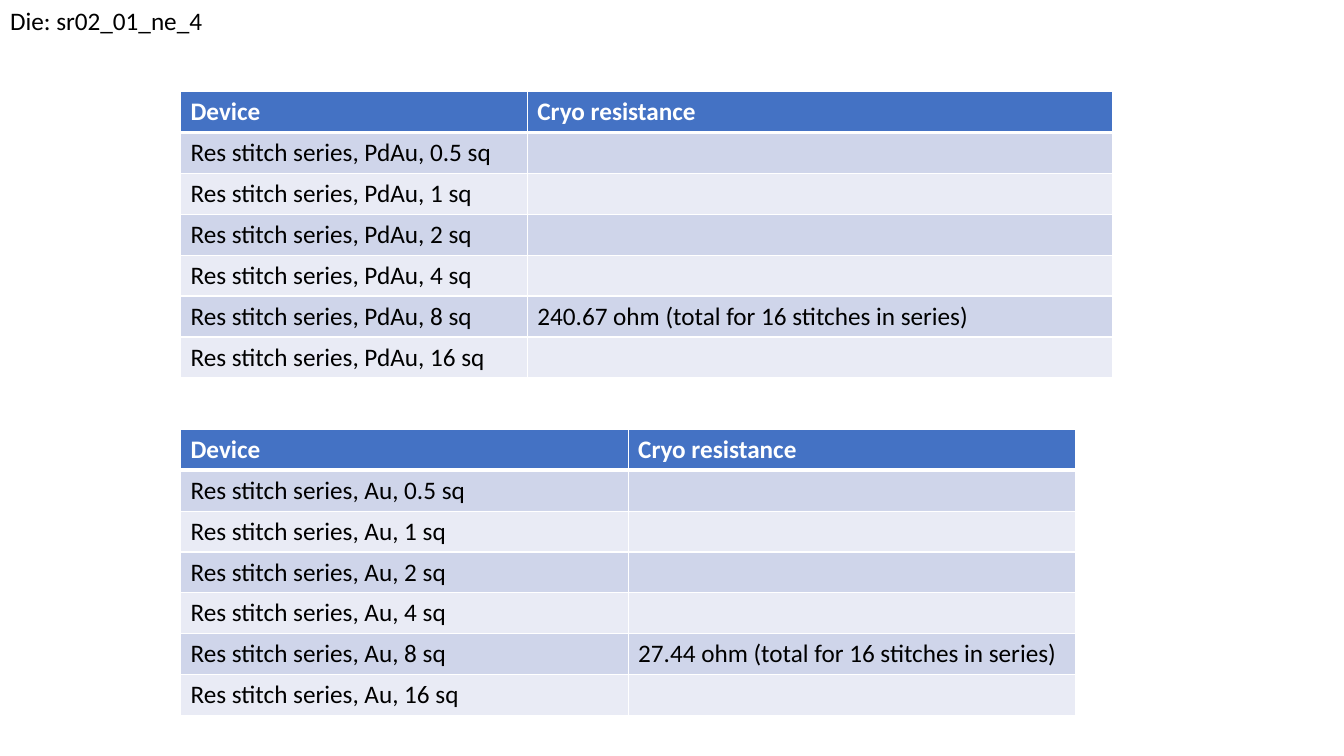
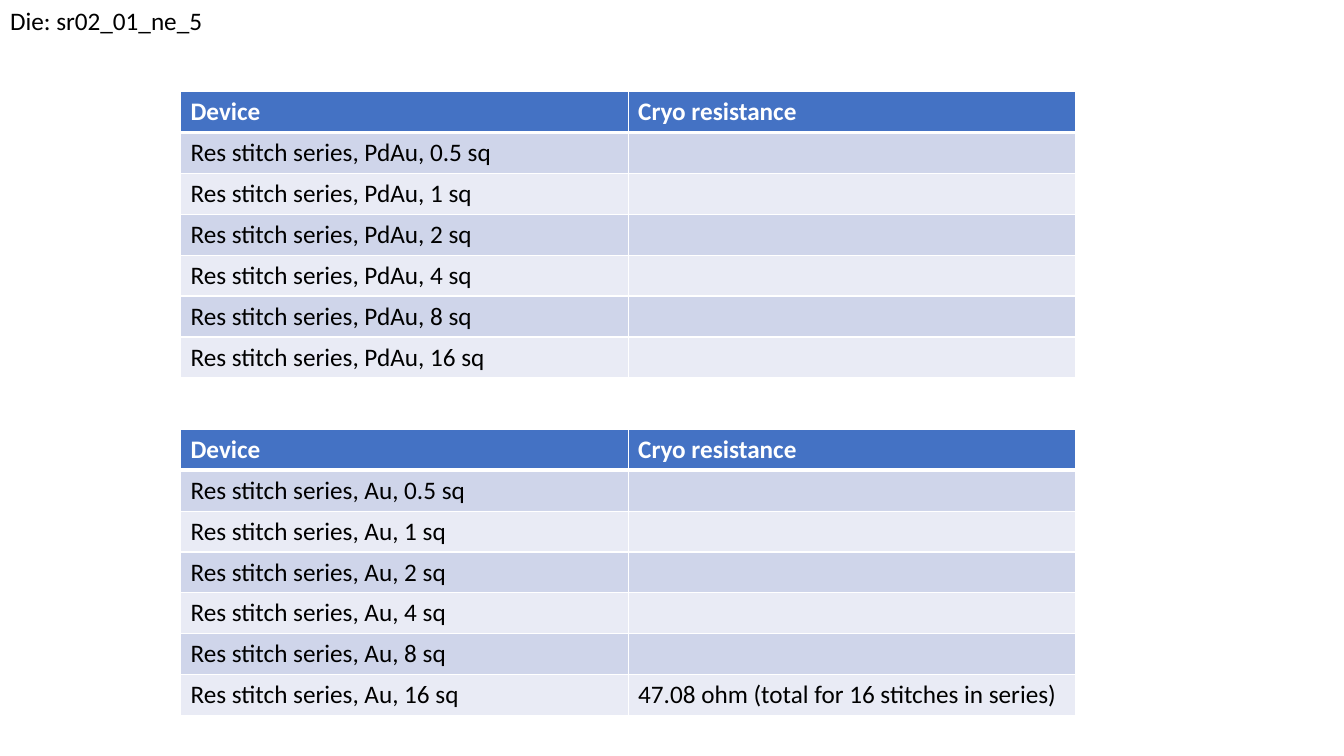
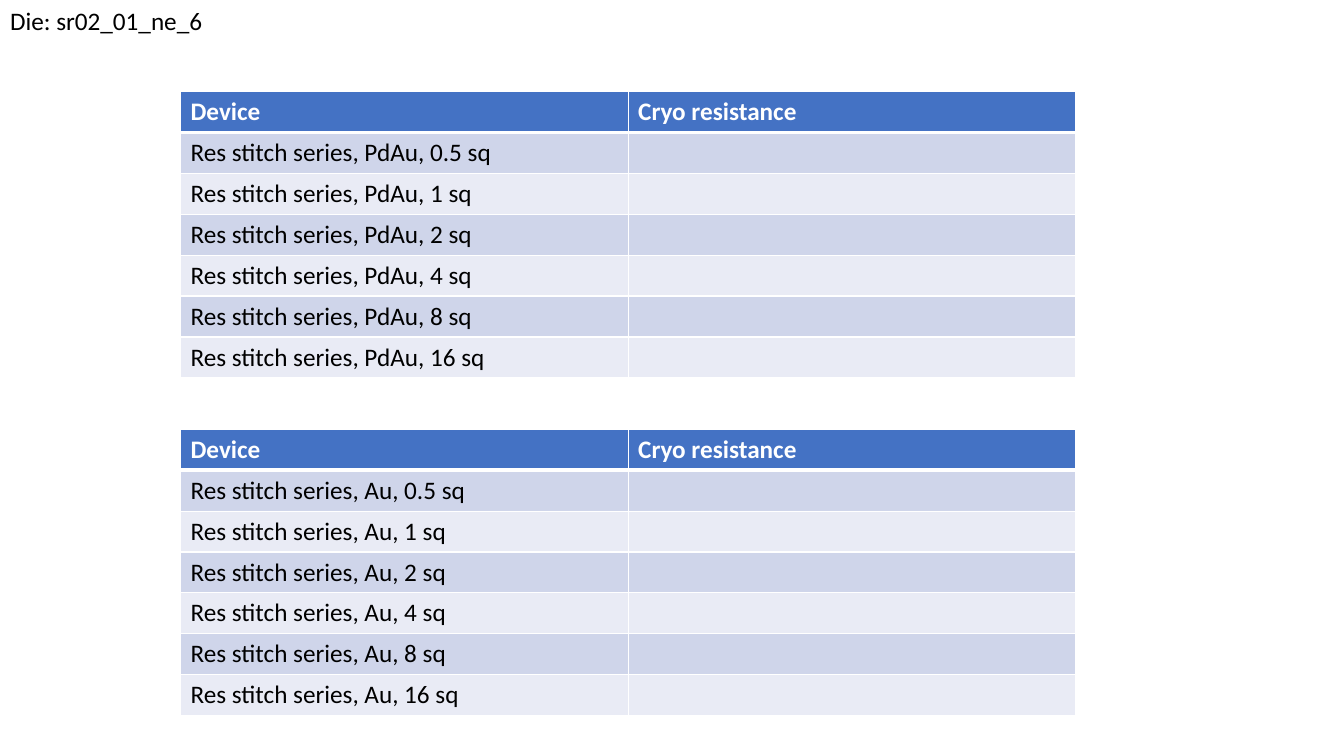
from pptx import Presentation
from pptx.dml.color import RGBColor
from pptx.enum.text import MSO_ANCHOR, MSO_AUTO_SIZE, PP_ALIGN
from pptx.oxml import parse_xml
from pptx.oxml.ns import nsdecls
from pptx.util import Inches, Pt

# Shared look
FONT = "Calibri"
TEXT_SIZE = Pt(18)
BLACK, WHITE = "000000", "FFFFFF"
HEADER_BLUE = "4472C4"
BANDS = ("CFD5EA", "E9EBF5")
TABLE_LEFT, TABLE_HEIGHT = 1.79, 2.84
TABLE_TOPS = {"PdAu": 0.91, "Au": 4.26}
EQUAL_COLUMNS = (4.44, 4.44)
WIDE_RESULT_COLUMNS = (3.44, 5.81)
SQUARES = ("0.5", "1", "2", "4", "8", "16")

# Each die: name, column widths of the PdAu table, measured ohms by (metal, squares)
DIES = [
    ("sr02_01_ne_4", WIDE_RESULT_COLUMNS, {("PdAu", "8"): "240.67", ("Au", "8"): "27.44"}),
    ("sr02_01_ne_5", EQUAL_COLUMNS, {("Au", "16"): "47.08"}),
    ("sr02_01_ne_6", EQUAL_COLUMNS, {}),
]


def style_text(text_frame, color, bold=False):
    for run in text_frame.paragraphs[0].runs:
        run.font.name = FONT
        run.font.size = TEXT_SIZE
        run.font.bold = bold
        run.font.color.rgb = RGBColor.from_string(color)


def add_border(cell, side, points):
    cell._tc.get_or_add_tcPr().append(parse_xml(
        f'<a:ln{side} {nsdecls("a")} w="{Pt(points)}"><a:solidFill>'
        f'<a:srgbClr val="{WHITE}"/></a:solidFill></a:ln{side}>'))


prs = Presentation()
prs.slide_width, prs.slide_height = Inches(13.33), Inches(7.5)
title_only = prs.slide_layouts[5]

for die, pdau_columns, measured in DIES:
    slide = prs.slides.add_slide(title_only)

    # Die label in the top left corner
    title = slide.shapes.title
    title.left, title.top = Inches(0), Inches(0)
    title.width, title.height = Inches(2.13), Inches(0.4)
    label = title.text_frame
    label.text = f"Die: {die}"
    label.word_wrap = False
    label.auto_size = MSO_AUTO_SIZE.SHAPE_TO_FIT_TEXT
    label.vertical_anchor = MSO_ANCHOR.TOP
    label.paragraphs[0].alignment = PP_ALIGN.LEFT
    style_text(label, BLACK)

    # One resistance table per metal
    for metal, top in TABLE_TOPS.items():
        columns = pdau_columns if metal == "PdAu" else EQUAL_COLUMNS
        rows = [("Device", "Cryo resistance")]
        for squares in SQUARES:
            ohms = measured.get((metal, squares))
            result = f"{ohms} ohm (total for 16 stitches in series)" if ohms else ""
            rows.append((f"Res stitch series, {metal}, {squares} sq", result))

        table = slide.shapes.add_table(
            len(rows), len(columns), Inches(TABLE_LEFT), Inches(top),
            Inches(sum(columns)), Inches(TABLE_HEIGHT)).table
        for column, width in zip(table.columns, columns):
            column.width = Inches(width)

        for r, row in enumerate(rows):
            header = r == 0
            for c, text in enumerate(row):
                cell = table.cell(r, c)
                cell.text = text
                style_text(cell.text_frame, WHITE if header else BLACK, header)
                # A thick rule separates the header from the body
                for side, points in (("L", 1), ("R", 1), ("T", 3 if r == 1 else 1),
                                     ("B", 3 if header else 1)):
                    add_border(cell, side, points)
                cell.fill.solid()
                cell.fill.fore_color.rgb = RGBColor.from_string(
                    HEADER_BLUE if header else BANDS[(r - 1) % 2])

prs.save("out.pptx")
